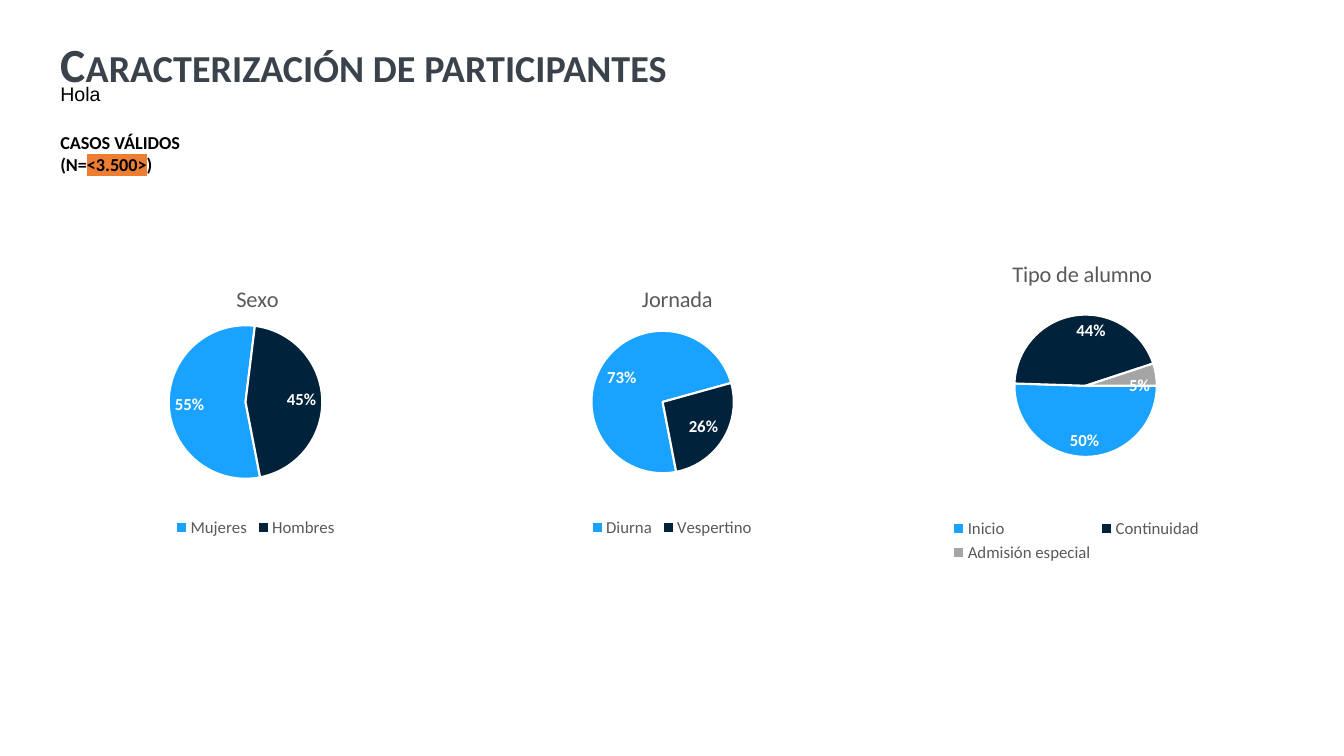
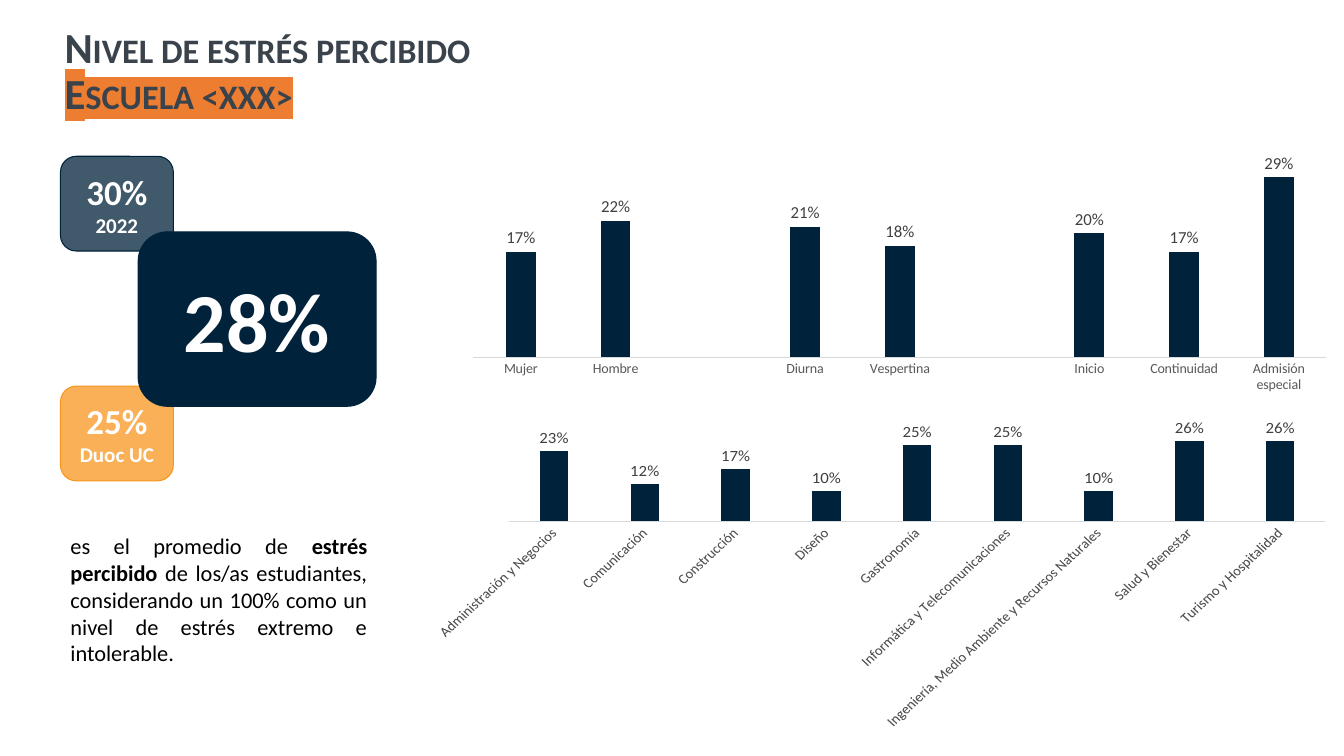
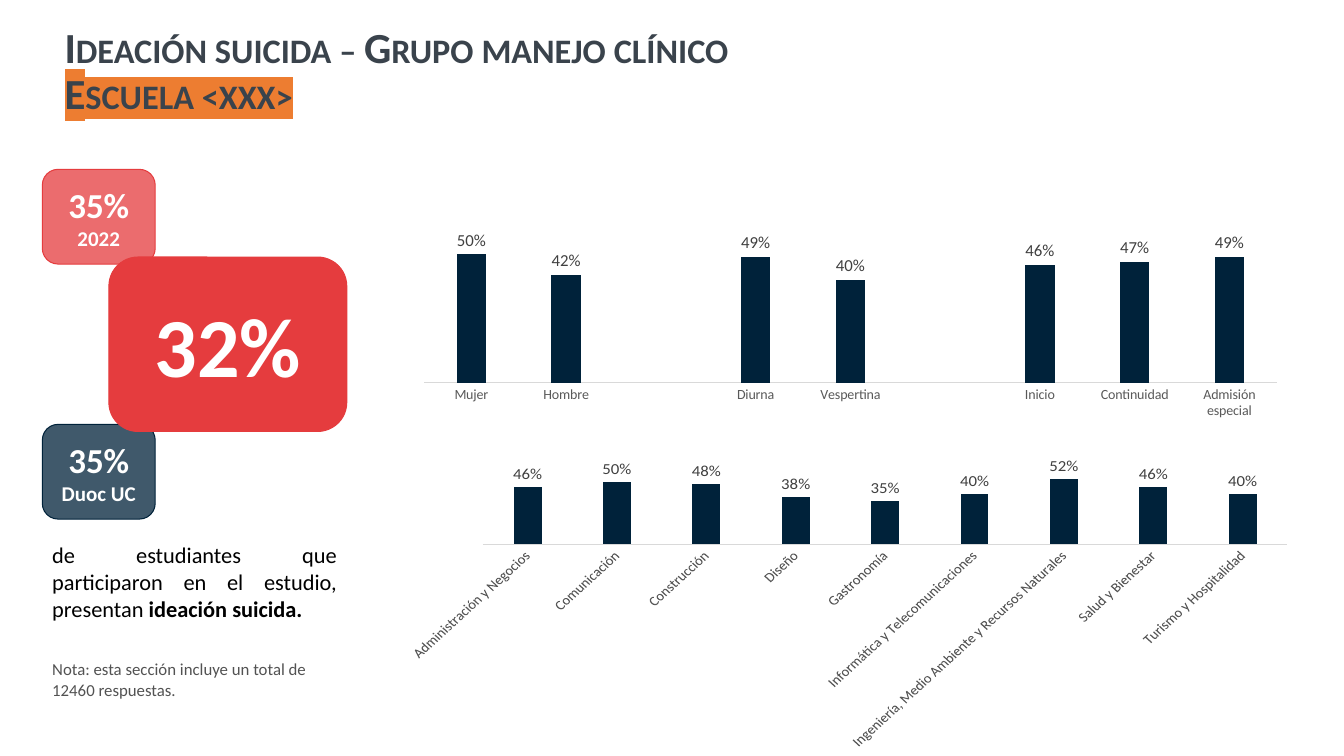
from dataclasses import dataclass
from typing import Optional

import pptx
import pptx.chart.data
import pptx.dml.color
import pptx.enum.chart
import pptx.enum.shapes
import pptx.enum.text
import pptx.oxml
import pptx.oxml.ns
import pptx.util
from lxml import etree

qn = pptx.oxml.ns.qn
Pt = pptx.util.Pt
ALIGN = pptx.enum.text.PP_ALIGN
CHART = pptx.enum.chart.XL_CHART_TYPE
LABEL = pptx.enum.chart.XL_LABEL_POSITION

# Shared look
WIDTH, HEIGHT = pptx.util.Inches(13.33), pptx.util.Inches(7.5)
FACE = "Calibri"
NAVY, SKY, SILVER = "00223A", "19A2FF", "A5A5A5"
AMBER, RED, ORANGE = "F8961E", "E53C3E", "ED7D31"
SLATE, GRAY, INK, NOTE = "3A434C", "595959", "404040", "525252"
RULE, WHITE, BLACK = "D9D9D9", "FFFFFF", "000000"

PROFILE = ["Mujer", "Hombre", "", "Diurna", "Vespertina", "",
           "Inicio", "Continuidad", "Admisión especial"]
SCHOOLS = ["Administración y Negocios", "Comunicación", "Construcción", "Diseño",
           "Gastronomía", "Informática y Telecomunicaciones",
           "Ingeniería, Medio Ambiente y Recursos Naturales",
           "Salud y Bienestar", "Turismo y Hospitalidad"]


@dataclass
class Area:
    """Place on the slide, in percent of its width and height."""
    left: float
    top: float
    width: float
    height: float

    def lengths(self) -> tuple[int, int, int, int]:
        return (int(WIDTH * self.left / 100), int(HEIGHT * self.top / 100),
                int(WIDTH * self.width / 100), int(HEIGHT * self.height / 100))


@dataclass
class Span:
    text: str
    bold: bool = False
    mark: bool = False


@dataclass
class Pie:
    title: str
    area: Area
    shares: dict[str, float]
    start: int
    title_at: tuple[float, float]
    plot_at: tuple[float, float]


@dataclass
class Bars:
    area: Area
    groups: list[str]
    values: list[Optional[float]]
    axis_size: float
    turn: int = -60000000
    top: Optional[float] = None


@dataclass
class Card:
    area: Area
    text: str
    color: str
    sizes: tuple[float, ...] = (25, 15)
    opacity: int = 75


@dataclass
class Words:
    area: Area
    spans: list[Span]
    size: float
    color: str = BLACK
    face: str = FACE
    align: Optional[ALIGN] = None


@dataclass
class Finding:
    title: str
    cards: list[Card]
    charts: list[Bars]
    words: list[Words]


# Formatting helpers
def rgb(color: str) -> pptx.dml.color.RGBColor:
    return pptx.dml.color.RGBColor.from_string(color)


def style(font, size: float, color: str, bold: bool = False, face: str = FACE) -> None:
    font.size, font.bold, font.name = Pt(size), bold, face
    font.color.rgb = rgb(color)


def highlight(run) -> None:
    """Give a run that has no formatting yet its marker colour."""
    mark = etree.SubElement(run.font._element, qn("a:highlight"))
    etree.SubElement(mark, qn("a:srgbClr")).set("val", ORANGE)


def place(parent, index: int, **shares: float) -> None:
    """Fix a chart part at shares of the chart's size."""
    layout = parent.find(qn("c:layout"))
    if layout is None:
        layout = parent.makeelement(qn("c:layout"))
        parent.insert(index, layout)
    manual = etree.SubElement(layout, qn("c:manualLayout"))
    if "w" in shares:
        etree.SubElement(manual, qn("c:layoutTarget")).set("val", "inner")
    for side in ("xMode", "yMode"):
        etree.SubElement(manual, qn(f"c:{side}")).set("val", "edge")
    for side, share in shares.items():
        etree.SubElement(manual, qn(f"c:{side}")).set("val", str(share))


def set_title_style(master) -> None:
    level = master.element.find(f".//{qn('p:titleStyle')}/{qn('a:lvl1pPr')}")
    level.set("algn", "l")
    spacing = level.makeelement(qn("a:lnSpc"))
    etree.SubElement(spacing, qn("a:spcPct")).set("val", "90000")
    level.insert(0, spacing)
    letters = level.find(qn("a:defRPr"))
    for key, value in (("sz", "3060"), ("b", "1"), ("cap", "small")):
        letters.set(key, value)
    fill = letters.find(qn("a:solidFill"))
    for old in list(fill):
        fill.remove(old)
    etree.SubElement(fill, qn("a:srgbClr")).set("val", SLATE)
    letters.find(qn("a:latin")).set("typeface", FACE)


# Drawing functions
def add_titled_slide(deck, title: str, area: Area):
    slide = deck.slides.add_slide(deck.slide_layouts[5])
    heading = slide.shapes.title
    heading.left, heading.top, heading.width, heading.height = area.lengths()
    frame = heading.text_frame
    frame.text = title
    frame.word_wrap = True
    frame.auto_size = pptx.enum.text.MSO_AUTO_SIZE.NONE
    frame.vertical_anchor = pptx.enum.text.MSO_ANCHOR.MIDDLE
    for school in frame.paragraphs[0].runs[1:]:
        highlight(school)
    return slide


def add_words(slide, words: Words) -> None:
    frame = slide.shapes.add_textbox(*words.area.lengths()).text_frame
    frame.word_wrap = True
    frame.auto_size = pptx.enum.text.MSO_AUTO_SIZE.SHAPE_TO_FIT_TEXT
    paragraph = frame.paragraphs[0]
    paragraph.alignment = words.align
    for span in words.spans:
        run = paragraph.add_run()
        run.text = span.text
        if span.mark:
            highlight(run)
        style(run.font, words.size, words.color, span.bold, words.face)


def add_card(slide, card: Card) -> None:
    shape = slide.shapes.add_shape(
        pptx.enum.shapes.MSO_SHAPE.ROUNDED_RECTANGLE, *card.area.lengths())
    shape.shadow.inherit = False
    shape.fill.solid()
    shape.fill.fore_color.rgb = rgb(card.color)
    if card.opacity < 100:
        color = shape._element.spPr.find(f"{qn('a:solidFill')}/{qn('a:srgbClr')}")
        etree.SubElement(color, qn("a:alpha")).set("val", str(card.opacity * 1000))
    shape.line.color.rgb = rgb(card.color)
    shape.line.width = Pt(0.75)
    shape.text_frame.text = card.text
    shape.text_frame.vertical_anchor = pptx.enum.text.MSO_ANCHOR.MIDDLE
    for paragraph, size in zip(shape.text_frame.paragraphs, card.sizes):
        paragraph.alignment = ALIGN.CENTER
        style(paragraph.runs[0].font, size, WHITE, True)


def add_percent_chart(slide, kind, area: Area, groups, values):
    data = pptx.chart.data.CategoryChartData(number_format="0%")
    data.categories = groups
    data.add_series("Series 1", values)
    chart = slide.shapes.add_chart(kind, *area.lengths(), data).chart
    style(chart.font, 10, BLACK, face="Arial")
    return chart


def label_values(series, position, color: str, bold: bool) -> None:
    labels = series.data_labels
    labels.show_value = True
    labels.number_format, labels.number_format_is_linked = "0%", False
    labels.position = position
    style(labels.font, 12, color, bold)


def add_pie(slide, pie: Pie) -> None:
    chart = add_percent_chart(slide, CHART.PIE, pie.area,
                              list(pie.shares), list(pie.shares.values()))
    chart.has_title = True
    caption = chart.chart_title.text_frame
    caption.text = pie.title
    style(caption.paragraphs[0].runs[0].font, 16, GRAY)
    place(chart.chart_title._element, 1, x=pie.title_at[0], y=pie.title_at[1])

    chart.has_legend = True
    chart.legend.position = pptx.enum.chart.XL_LEGEND_POSITION.BOTTOM
    chart.legend.include_in_layout = False
    style(chart.legend.font, 12, GRAY)

    plot = chart.plots[0]
    plot.vary_by_categories = True
    place(plot._element.getparent(), 0, x=pie.plot_at[0], y=pie.plot_at[1], w=0.46, h=0.57)
    series = plot.series[0]
    for index, color in zip(range(len(pie.shares)), (SKY, NAVY, SILVER)):
        look = series.points[index].format
        look.fill.solid()
        look.fill.fore_color.rgb = rgb(color)
        look.line.color.rgb = rgb(WHITE)
        look.line.width = Pt(1.5)
    label_values(series, LABEL.INSIDE_END, WHITE, True)
    angle = plot._element.find(qn("c:firstSliceAng"))
    if angle is None:
        angle = etree.SubElement(plot._element, qn("c:firstSliceAng"))
    angle.set("val", str(pie.start))


def add_bars(slide, bars: Bars) -> None:
    chart = add_percent_chart(slide, CHART.COLUMN_CLUSTERED, bars.area,
                              bars.groups, bars.values)
    chart.has_title = chart.has_legend = False
    plot = chart.plots[0]
    plot.gap_width, plot.overlap, plot.vary_by_categories = 219, -27, False
    series = plot.series[0]
    series.format.fill.solid()
    series.format.fill.fore_color.rgb = rgb(NAVY)
    label_values(series, LABEL.OUTSIDE_END, INK, False)

    scale = chart.value_axis
    scale.visible = scale.has_major_gridlines = False
    scale.minimum_scale = 0
    if bars.top is not None:
        scale.maximum_scale = bars.top
    axis = chart.category_axis
    axis.major_tick_mark = pptx.enum.chart.XL_TICK_MARK.NONE
    axis.format.line.color.rgb = rgb(RULE)
    axis.format.line.width = Pt(0.75)
    style(axis.tick_labels.font, bars.axis_size, GRAY)
    axis._element.find(f"{qn('c:txPr')}/{qn('a:bodyPr')}").set("rot", str(bars.turn))


# Content rules for the two finding slides
def score_cards(left: float, tops: tuple[float, float], main: tuple[float, float],
                shares: tuple[str, str, str], colors: tuple[str, str, str]) -> list[Card]:
    past, overall, current = shares
    return [
        Card(Area(left, tops[0], 8.4, 12.53), f"{past}\n2022", colors[0]),
        Card(Area(left, tops[1], 8.4, 12.53), f"{overall}\nDuoc UC", colors[1]),
        Card(Area(*main, 17.7, 23.07), current, colors[2], (60,), 100),
    ]


def profile_bars(area: Area, values: list[Optional[float]]) -> Bars:
    return Bars(area, PROFILE, values, 10)


def school_bars(area: Area, values: list[float], top: Optional[float] = None) -> Bars:
    return Bars(area, SCHOOLS, values, 10.5, -2700000, top)


PIES = [
    Pie("Sexo", Area(6.6, 34.4, 24.83, 37.2), {"Mujeres": 0.55, "Hombres": 0.45},
        169, (0.43, 0.07), (0.24, 0.22)),
    Pie("Jornada", Area(38.48, 34.4, 23.03, 37.2), {"Diurna": 0.73, "Vespertino": 0.26},
        169, (0.39, 0.07), (0.24, 0.22)),
    Pie("Tipo de alumno", Area(68.57, 31.07, 23.03, 43.87),
        {"Inicio": 0.5, "Continuidad": 0.44, "Admisión especial": 0.05},
        90, (0.28, 0.06), (0.3, 0.17)),
]

SAMPLE = [
    Words(Area(3.75, 16.67, 17.1, 4.27),
          [Span("CASOS VÁLIDOS (N=", True), Span("<3.500>", True, True), Span(")", True)], 13),
    Words(Area(3.75, 10.13, 65.72, 4.53), [Span("Hola")], 14, face="Arial"),
]

FINDINGS = [
    Finding(
        "Nivel de estrés percibido\vEscuela <xxx>",
        score_cards(4.5, (20.67, 51.07), (10.28, 30.67),
                    ("30%", "25%", "28%"), (NAVY, AMBER, NAVY)),
        [profile_bars(Area(33.91, 17.87, 66.09, 34.8),
                      [0.17, 0.22, None, 0.21, 0.18, None, 0.2, 0.17, 0.29]),
         school_bars(Area(31.06, 55.47, 68.94, 41.07),
                     [0.23, 0.12, 0.17, 0.1, 0.25, 0.25, 0.1, 0.26, 0.26])],
        [Words(Area(4.5, 69.73, 23.56, 19.33),
               [Span("es el promedio de "), Span("estrés percibido", True),
                Span(" de los/as estudiantes, considerando un 100% como un nivel de "
                     "estrés extremo e intolerable.")], 16, align=ALIGN.JUSTIFY)],
    ),
    Finding(
        "Ideación suicida – Grupo manejo clínico\vEscuela <xxx>",
        score_cards(3.15, (22.4, 56.13), (8.1, 34),
                    ("35%", "35%", "32%"), (RED, NAVY, RED)),
        [school_bars(Area(29.11, 59.73, 68.04, 39.47),
                     [0.46, 0.5, 0.48, 0.38, 0.35, 0.4, 0.52, 0.46, 0.4], 0.7),
         profile_bars(Area(30.23, 29.73, 66.09, 26.13),
                      [0.5, 0.42, None, 0.49, 0.4, None, 0.46, 0.47, 0.49])],
        [Words(Area(3.15, 70.93, 22.66, 12.13),
               [Span("de estudiantes que participaron en el estudio, presentan"),
                Span(" ideación suicida.", True)], 16, align=ALIGN.JUSTIFY),
         Words(Area(3.15, 86.53, 22.66, 6.67),
               [Span("Nota: esta sección incluye un total de 12460 respuestas.")], 12, NOTE)],
    ),
]


def main() -> None:
    deck = pptx.Presentation()
    deck.slide_width, deck.slide_height = WIDTH, HEIGHT
    set_title_style(deck.slide_master)

    # Participants
    participants = add_titled_slide(deck, "Caracterización de participantes",
                                    Area(3.75, 3.87, 95.5, 12.53))
    heading = participants.shapes.title.text_frame
    heading.margin_bottom = pptx.util.Inches(0.23)
    heading.paragraphs[0].runs[0].font.size = Pt(34)
    for pie in PIES:
        add_pie(participants, pie)
    for words in SAMPLE:
        add_words(participants, words)

    # Findings
    for finding in FINDINGS:
        slide = add_titled_slide(deck, finding.title, Area(4.05, 3.33, 95.5, 12.53))
        for bars in finding.charts:
            add_bars(slide, bars)
        for card in finding.cards:
            add_card(slide, card)
        for words in finding.words:
            add_words(slide, words)

    deck.save("out.pptx")


if __name__ == "__main__":
    main()
